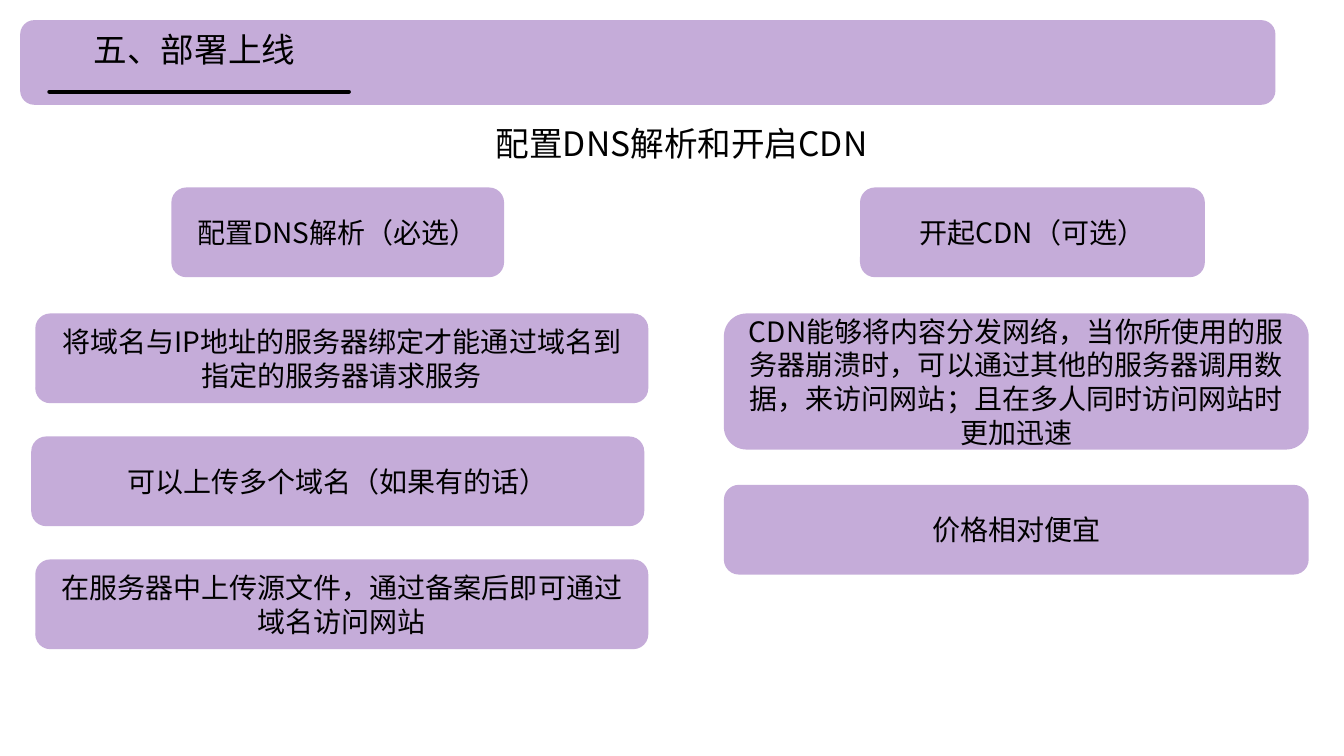
from lxml import etree
from pptx import Presentation
from pptx import util as u
from pptx.dml.color import RGBColor
from pptx.enum import shapes, text
from pptx.oxml import ns

FONT = "Noto Sans CJK SC"
PURPLE, BLACK = "7030A0", "000000"
OPACITY = 40
CARD_HEIGHT = 0.89
HEADING_TOP, BODY_TOP = 1.86, 3.11

TITLE = "五、部署上线"
SUBTITLE = "配置DNS解析和开启CDN"
BAND = (0.2, 0.2, 12.45, 0.84)
COLUMNS = [
    {
        "heading": ("配置DNS解析（必选）", 1.7, 3.3),
        "width": 6.08,
        "gap": 0.33,
        "cards": [
            ("将域名与IP地址的服务器绑定才能通过域名到指定的服务器请求服务", 0.35, CARD_HEIGHT),
            ("可以上传多个域名（如果有的话）", 0.31, CARD_HEIGHT),
            ("在服务器中上传源文件，通过备案后即可通过域名访问网站", 0.35, CARD_HEIGHT),
        ],
    },
    {
        "heading": ("开起CDN（可选）", 8.53, 3.42),
        "width": 5.8,
        "gap": 0.35,
        "cards": [
            ("CDN能够将内容分发网络，当你所使用的服务器崩溃时，可以通过其他的服务器调用数据，"
             "来访问网站；且在多人同时访问网站时更加迅速", 7.18, 1.35),
            ("价格相对便宜", 7.18, CARD_HEIGHT),
        ],
    },
]


def color(value):
    return RGBColor.from_string(value)


def inches(*lengths):
    return [u.Inches(length) for length in lengths]


def write(shape, wording, size, align, anchor):
    frame = shape.text_frame
    frame.word_wrap = True
    frame.vertical_anchor = anchor
    para = frame.paragraphs[0]
    para.alignment = align
    span = para.add_run()
    span.text = wording
    span.font.size = u.Pt(size)
    span.font.name = FONT
    span.font.color.rgb = color(BLACK)
    east_asian = etree.SubElement(span.font._element, ns.qn("a:ea"))
    east_asian.set("typeface", FONT)
    return frame


def add_panel(page, left, top, width, height):
    panel = page.shapes.add_shape(
        shapes.MSO_SHAPE.ROUNDED_RECTANGLE, *inches(left, top, width, height))
    panel.shadow.inherit = False
    panel.line.fill.background()
    panel.fill.solid()
    panel.fill.fore_color.rgb = color(PURPLE)
    tint = panel.element.spPr.find(".//" + ns.qn("a:srgbClr"))
    etree.SubElement(tint, ns.qn("a:alpha")).set("val", str(OPACITY * 1000))
    return panel


def add_card(page, wording, left, top, width, height):
    card = add_panel(page, left, top, width, height)
    write(card, wording, 20, text.PP_ALIGN.CENTER, text.MSO_ANCHOR.MIDDLE)


def add_header(page):
    band = add_panel(page, *BAND)
    title = page.shapes.title
    band.element.addnext(title.element)
    title.left, title.top, title.width, title.height = inches(*BAND)
    frame = write(title, TITLE, 24, text.PP_ALIGN.LEFT, text.MSO_ANCHOR.TOP)
    frame.auto_size = text.MSO_AUTO_SIZE.NONE
    frame.margin_left, frame.margin_top = inches(0.73, 0.09)

    rule = page.shapes.add_connector(
        shapes.MSO_CONNECTOR.STRAIGHT, *inches(0.49, 0.91, 3.46, 0.91))
    rule.line.color.rgb = color(BLACK)
    rule.line.width = u.Pt(3)
    outline = rule.line._get_or_add_ln()
    outline.set("cap", "rnd")
    etree.SubElement(rule._element.spPr, ns.qn("a:effectLst"))

    subtitle = page.shapes.add_textbox(*inches(4.54, 1.17, 4.44, 0.5))
    frame = write(subtitle, SUBTITLE, 24, text.PP_ALIGN.CENTER, text.MSO_ANCHOR.TOP)
    frame.auto_size = text.MSO_AUTO_SIZE.SHAPE_TO_FIT_TEXT


def add_column(page, column):
    wording, left, width = column["heading"]
    add_card(page, wording, left, HEADING_TOP, width, CARD_HEIGHT)
    top = BODY_TOP
    for wording, left, height in column["cards"]:
        add_card(page, wording, left, top, column["width"], height)
        top += height + column["gap"]


def main():
    deck = Presentation()
    deck.slide_width, deck.slide_height = inches(13.33, 7.5)
    page = deck.slides.add_slide(deck.slide_layouts[5])
    add_header(page)
    for column in COLUMNS:
        add_column(page, column)
    deck.save("out.pptx")


if __name__ == "__main__":
    main()
